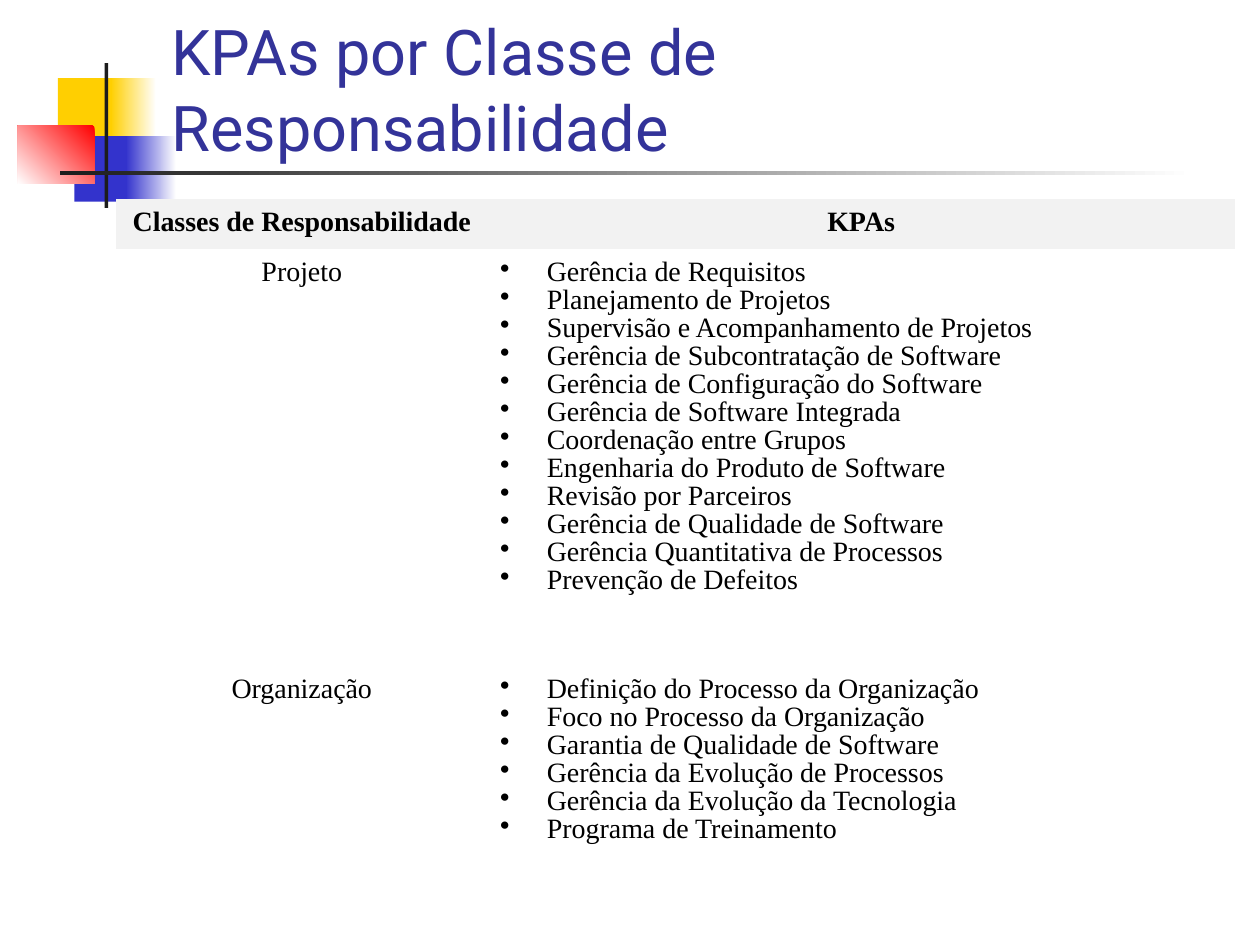
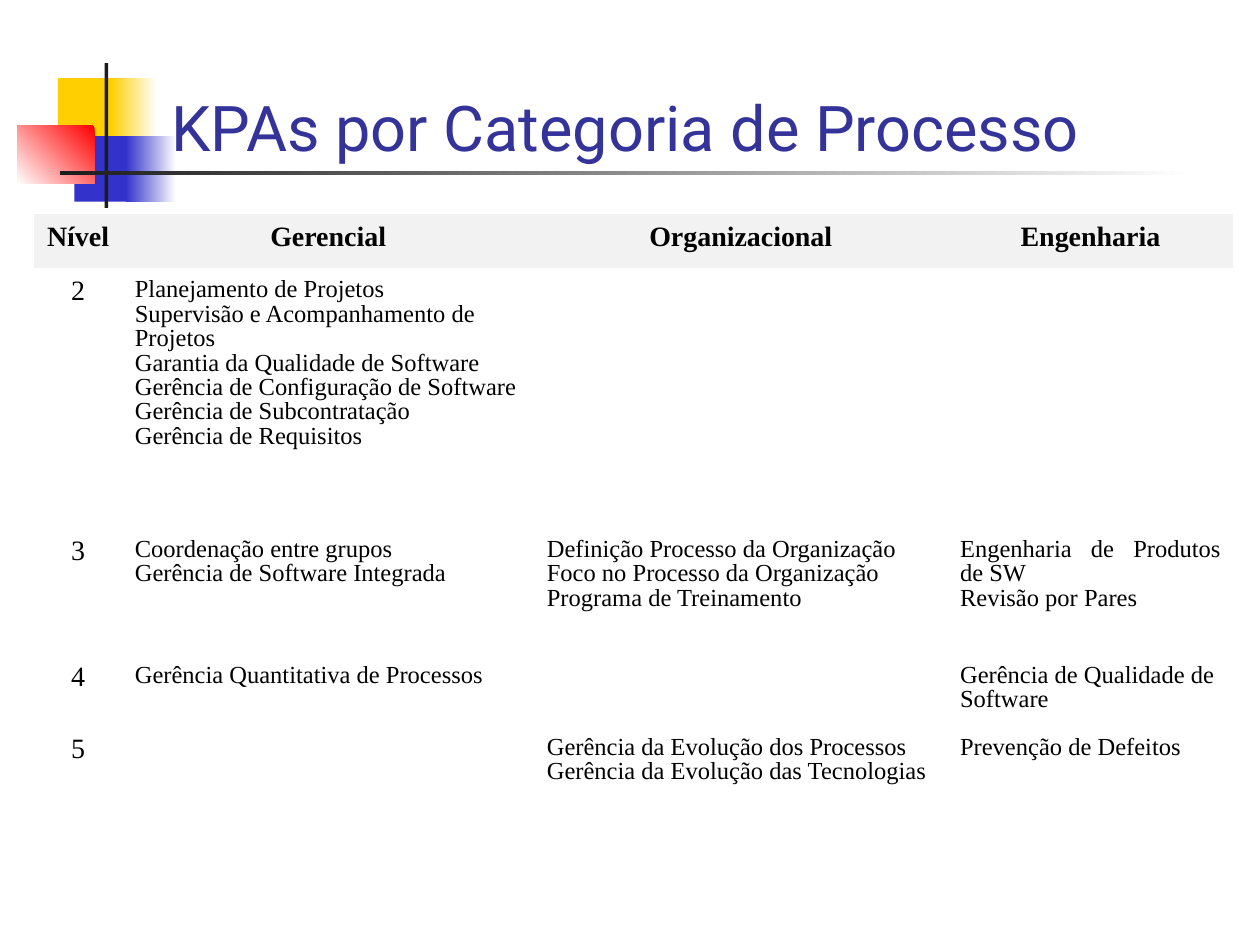
"""Build two slides that list the KPAs by responsibility class and by process category."""
from lxml import etree
from pptx import Presentation
from pptx.dml.color import RGBColor
from pptx.enum.shapes import MSO_SHAPE
from pptx.enum.text import MSO_ANCHOR, MSO_AUTO_SIZE, PP_ALIGN
from pptx.oxml.ns import qn
from pptx.util import Pt

PX = 9144
RECT = MSO_SHAPE.RECTANGLE
BOTTOM = MSO_ANCHOR.BOTTOM
NO_FIT = MSO_AUTO_SIZE.NONE
LEFT, CENTER, JUSTIFY = PP_ALIGN.LEFT, PP_ALIGN.CENTER, PP_ALIGN.JUSTIFY

TITLE_FONT, BODY_FONT = "Roboto", "Times New Roman"
TITLE_COLOR, TEXT_COLOR, HEADER_FILL = "333399", "000000", "F2F2F2"
YELLOW, BLUE, RED, DARK, WHITE = "FFCF01", "3333CC", "FF0000", "1C1C1C", "FFFFFF"
NO_GRID_STYLE = "{2D5ABB26-0587-4C30-8999-92F81FD0307C}"
BULLET_INDENT = 37


def rgb(value):
    return RGBColor.from_string(value)


def add_run(p, text, font, size, color, bold=False):
    r = p.add_run()
    r.text = text
    r.font.name = font
    r.font.size = Pt(size)
    r.font.bold = bold
    r.font.color.rgb = rgb(color)


DECORATION = [
    ((46, 62, 48, 52), [YELLOW], 0),
    ((88, 62, 36, 52), [WHITE, YELLOW], 180),
    ((59, 108, 46, 52), [BLUE], 0),
    ((100, 108, 40, 52), [WHITE, BLUE], 180),
    ((14, 100, 61, 46), [RED, WHITE], 225),
    ((83, 50, 3, 115), [DARK], 0),
    ((48, 136, 900, 3), [WHITE, DARK], 180),
]

SLIDES = [
    {
        "title": "KPAs por Classe de Responsabilidade",
        "at": (92, 158),
        "cols": [295, 593],
        "rows": [40, 331, 170],
        "size": 16,
        "header": ["Classes de Responsabilidade", "KPAs"],
        "body": [
            ["Projeto", ("bullet", [
                "Gerência de Requisitos",
                "Planejamento de Projetos",
                "Supervisão e Acompanhamento de Projetos",
                "Gerência de Subcontratação de Software",
                "Gerência de Configuração do Software",
                "Gerência de Software Integrada",
                "Coordenação entre Grupos",
                "Engenharia do Produto de Software",
                "Revisão por Parceiros",
                "Gerência de Qualidade de Software",
                "Gerência Quantitativa de Processos",
                "Prevenção de Defeitos",
            ])],
            ["Organização", ("bullet", [
                "Definição do Processo da Organização",
                "Foco no Processo da Organização",
                "Garantia de Qualidade de Software",
                "Gerência da Evolução de Processos",
                "Gerência da Evolução da Tecnologia",
                "Programa de Treinamento",
            ])],
        ],
    },
    {
        "title": "KPAs por Categoria de Processo",
        "at": (27, 170),
        "cols": [70, 327, 328, 227],
        "rows": [43, 206, 100, 57, 82],
        "size": 14,
        "header": ["Nível", "Gerencial", "Organizacional", "Engenharia"],
        "body": [
            ["2", ("left", [
                "Planejamento de Projetos",
                "Supervisão e Acompanhamento de Projetos",
                "Garantia da Qualidade de Software",
                "Gerência de Configuração de Software",
                "Gerência de Subcontratação",
                "Gerência de Requisitos",
            ]), None, None],
            ["3",
             ("justify", ["Coordenação entre grupos", "Gerência de Software Integrada"]),
             ("left", ["Definição Processo da Organização",
                       "Foco no Processo da Organização",
                       "Programa de Treinamento"]),
             ("justify", ["Engenharia de Produtos de SW", "Revisão por Pares"])],
            ["4",
             ("justify", ["Gerência Quantitativa de Processos"]),
             None,
             ("left", ["Gerência de Qualidade de \nSoftware"])],
            ["5",
             None,
             ("left", ["Gerência da Evolução dos Processos",
                       "Gerência da Evolução das Tecnologias"]),
             ("justify", ["Prevenção de Defeitos"])],
        ],
    },
]
ALIGN = {"center": CENTER, "left": LEFT, "bullet": LEFT, "justify": JUSTIFY}

prs = Presentation()
prs.slide_width, prs.slide_height = 1000 * PX, 750 * PX
layout = prs.slide_layouts[5]
slides = [prs.slides.add_slide(layout) for _ in SLIDES]

for box, colors, angle in DECORATION:
    sp = slides[0].shapes.add_shape(RECT, *(v * PX for v in box))
    sp.shadow.inherit = False
    sp.line.fill.background()
    if len(colors) == 1:
        sp.fill.solid()
        sp.fill.fore_color.rgb = rgb(colors[0])
    else:
        sp.fill.gradient()
        sp.fill.gradient_angle = angle
        for stop, color in zip(sp.fill.gradient_stops, colors):
            stop.color.rgb = rgb(color)
    layout.shapes.element.append(sp.element)

for s, data in zip(slides, SLIDES):
    title = s.shapes.title
    title.left, title.top, title.width, title.height = (v * PX for v in (126, 21, 852, 114))
    tf = title.text_frame
    tf.word_wrap = True
    tf.auto_size = NO_FIT
    tf.vertical_anchor = BOTTOM
    p = tf.paragraphs[0]
    p.alignment = LEFT
    add_run(p, data["title"], TITLE_FONT, 36, TITLE_COLOR)

    cols, rows = data["cols"], data["rows"]
    box = (*data["at"], sum(cols), sum(rows))
    frame = s.shapes.add_table(len(rows), len(cols), *(v * PX for v in box))
    frame.element.find(".//" + qn("a:tableStyleId")).text = NO_GRID_STYLE
    table = frame.table
    table.horz_banding = False
    for col, width in zip(table.columns, cols):
        col.width = width * PX
    for row, height in zip(table.rows, rows):
        row.height = height * PX

    for i, values in enumerate([data["header"]] + data["body"]):
        for cell, value in zip(table.rows[i].cells, values):
            cell.margin_left = cell.margin_right = 10 * PX
            cell.margin_top, cell.margin_bottom = 8 * PX, 5 * PX
            if i == 0:
                cell.fill.solid()
                cell.fill.fore_color.rgb = rgb(HEADER_FILL)
            else:
                cell.fill.background()
            if value is None:
                continue
            kind, lines = ("center", [value]) if isinstance(value, str) else value
            size = 16 if kind == "center" else data["size"]
            tf = cell.text_frame
            for n, line in enumerate(lines):
                p = tf.add_paragraph() if n else tf.paragraphs[0]
                p.alignment = ALIGN[kind]
                p.line_spacing = 0.9
                if kind == "bullet":
                    pPr = p._p.get_or_add_pPr()
                    pPr.set("marL", str(BULLET_INDENT * PX))
                    pPr.set("indent", str(-BULLET_INDENT * PX))
                    bu_color = etree.SubElement(pPr, qn("a:buClr"))
                    etree.SubElement(bu_color, qn("a:srgbClr"), val=TEXT_COLOR)
                    etree.SubElement(pPr, qn("a:buChar"), char="•")
                for k, part in enumerate(line.split("\n")):
                    if k:
                        p.add_line_break()
                    add_run(p, part, BODY_FONT, size, TEXT_COLOR, i == 0)

prs.save("out.pptx")
